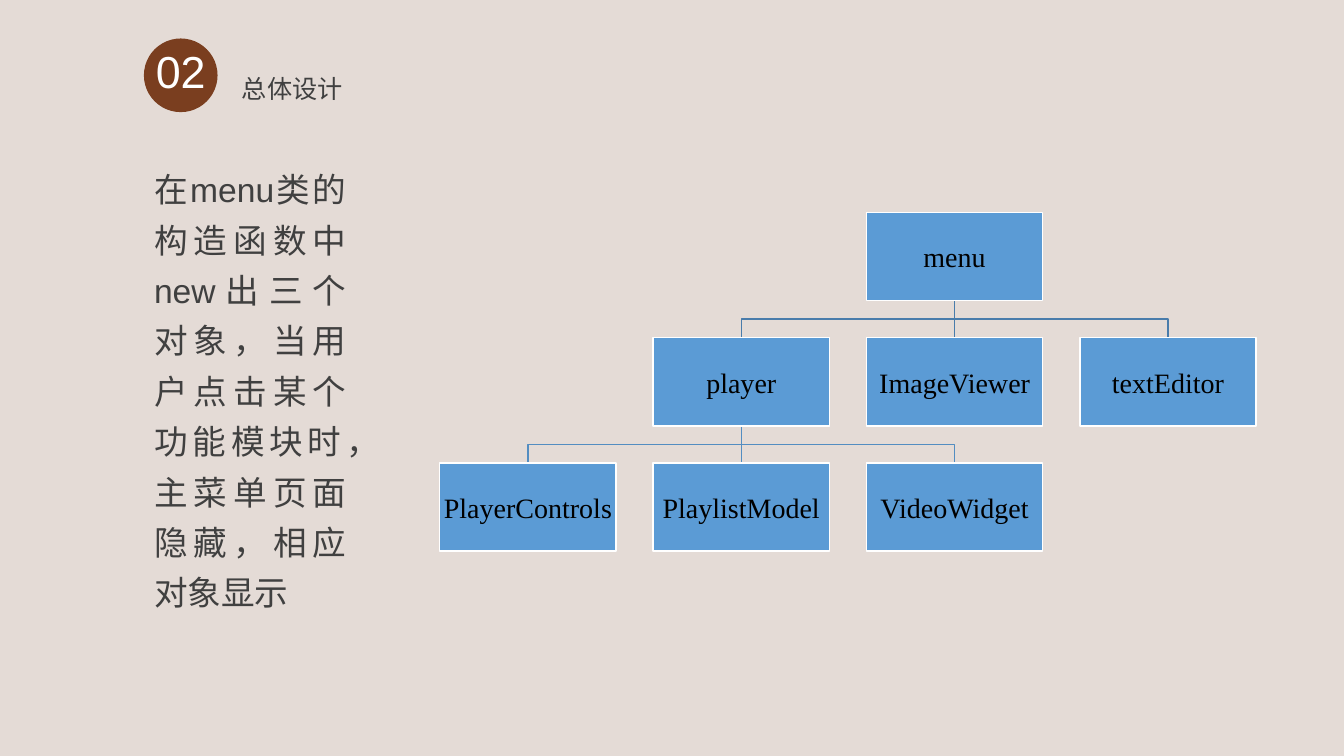
from dataclasses import dataclass

from pptx import Presentation
from pptx.dml.color import RGBColor
from pptx.enum.shapes import MSO_CONNECTOR, MSO_SHAPE
from pptx.enum.text import MSO_ANCHOR, MSO_AUTO_SIZE, PP_ALIGN
from pptx.oxml.ns import qn
from pptx.util import Pt

OVAL, RECT = MSO_SHAPE.OVAL, MSO_SHAPE.RECTANGLE
STRAIGHT = MSO_CONNECTOR.STRAIGHT
LEFT, CENTER, JUSTIFY = PP_ALIGN.LEFT, PP_ALIGN.CENTER, PP_ALIGN.JUSTIFY
TOP, MIDDLE = MSO_ANCHOR.TOP, MSO_ANCHOR.MIDDLE
NO_FIT = MSO_AUTO_SIZE.NONE

COLORS = {
    "background": "E4DBD6", "badge": "7A3E1F", "text": "404040",
    "box": "5B9BD5", "white": "FFFFFF", "black": "000000",
    "upper link": "497CAB", "lower link": "538DC1",
}

# Grid of the class tree, in points
GRID_LEFT, GRID_TOP = 314.1, 151.8
COLUMN_STEP, ROW_STEP = 152.4, 89.4
BOX_WIDTH, BOX_HEIGHT = 126, 63


@dataclass(frozen=True)
class ClassBox:
    name: str
    column: int
    row: int
    parent: str = ""

    @property
    def left(self) -> float:
        return GRID_LEFT + self.column * COLUMN_STEP

    @property
    def top(self) -> float:
        return GRID_TOP + self.row * ROW_STEP

    @property
    def center(self) -> float:
        return self.left + BOX_WIDTH / 2


CLASSES = [
    ClassBox("menu", 2, 0),
    ClassBox("player", 1, 1, "menu"),
    ClassBox("ImageViewer", 2, 1, "menu"),
    ClassBox("textEditor", 3, 1, "menu"),
    ClassBox("PlayerControls", 0, 2, "player"),
    ClassBox("PlaylistModel", 1, 2, "player"),
    ClassBox("VideoWidget", 2, 2, "player"),
]


def color(name: str) -> RGBColor:
    return RGBColor.from_string(COLORS[name])


def set_attributes(target, values: dict) -> None:
    for attribute, value in values.items():
        setattr(target, attribute, value)


def place(shape, left: float, top: float, width: float, height: float) -> None:
    set_attributes(shape, {"left": Pt(left), "top": Pt(top),
                           "width": Pt(width), "height": Pt(height)})


def write(shape, text: str, size: float, font: str, text_color: str,
          frame_format: dict, paragraph_format: dict) -> None:
    frame = shape.text_frame
    frame.text = text
    set_attributes(frame, {"auto_size": NO_FIT, **frame_format})
    paragraph = frame.paragraphs[0]
    set_attributes(paragraph, {"space_before": Pt(0), **paragraph_format})
    run_font = paragraph.runs[0].font
    set_attributes(run_font, {"size": Pt(size), "name": font})
    run_font.color.rgb = color(text_color)


def remove_bullet(paragraph) -> None:
    properties = paragraph._p.get_or_add_pPr()
    for attribute in ("marL", "indent"):
        properties.set(attribute, "0")
    properties.append(properties.makeelement(qn("a:buNone"), {}))


def add_filled(slide, kind, left: float, top: float, width: float,
               height: float, fill: str):
    shape = slide.shapes.add_shape(kind, Pt(left), Pt(top), Pt(width), Pt(height))
    shape.shadow.inherit = False
    shape.fill.solid()
    shape.fill.fore_color.rgb = color(fill)
    return shape


def add_link(slide, parent: ClassBox, child: ClassBox) -> None:
    start = parent.top + BOX_HEIGHT
    if parent.column == child.column:
        link = slide.shapes.add_connector(
            STRAIGHT, Pt(parent.center), Pt(start), Pt(child.center), Pt(child.top))
        properties = link._element.spPr
        link.line.width = Pt(1)
        properties.append(properties.makeelement(qn("a:effectLst"), {}))
    else:
        bend = (start + child.top) / 2
        outline = slide.shapes.build_freeform(Pt(parent.center), Pt(start))
        corners = [(parent.center, bend), (child.center, bend),
                   (child.center, child.top)]
        outline.add_line_segments([(Pt(x), Pt(y)) for x, y in corners], close=False)
        link = outline.convert_to_shape()
        link.shadow.inherit = False
        link.fill.background()
    link.line.color.rgb = color("lower link" if parent.row else "upper link")
    link.line.width = Pt(1)


def add_class_box(slide, item: ClassBox) -> None:
    box = add_filled(slide, RECT, item.left, item.top, BOX_WIDTH, BOX_HEIGHT, "box")
    box.line.color.rgb = color("white")
    box.line.width = Pt(1)
    margins = dict.fromkeys(
        ("margin_left", "margin_top", "margin_right", "margin_bottom"), Pt(1))
    write(box, item.name, 20, "Times New Roman", "black",
          {"word_wrap": True, "vertical_anchor": MIDDLE, **margins},
          {"alignment": CENTER})


presentation = Presentation()
set_attributes(presentation, {"slide_width": Pt(960), "slide_height": Pt(540)})
slide = presentation.slides.add_slide(presentation.slide_layouts[1])
slide.background.fill.solid()
slide.background.fill.fore_color.rgb = color("background")

# Section number and title
badge = add_filled(slide, OVAL, 102.8, 27.5, 52.6, 52.6, "badge")
badge.line.fill.background()
write(badge, "02", 32, "Arial", "white",
      {"word_wrap": False, "vertical_anchor": MIDDLE, "margin_top": Pt(0),
       "margin_bottom": Pt(6.5)}, {"alignment": CENTER})

title = slide.shapes.title
place(title, 165.6, 27.4, 87.1, 43.9)
write(title, "总体设计", 18, "Arial", "text",
      {"word_wrap": False, "vertical_anchor": TOP},
      {"alignment": LEFT, "line_spacing": 2.0})

# Description
description = slide.placeholders[1]
place(description, 102.8, 110, 151.9, 331.2)
write(description,
      "在menu类的构造函数中new出三个对象，当用户点击某个功能模块时，"
      "主菜单页面隐藏，相应对象显示",
      24, "Arial", "text", {"word_wrap": True, "vertical_anchor": TOP},
      {"alignment": JUSTIFY, "line_spacing": 1.25})
remove_bullet(description.text_frame.paragraphs[0])

# Class tree: links behind boxes
by_name = {item.name: item for item in CLASSES}
for item in CLASSES:
    if item.parent:
        add_link(slide, by_name[item.parent], item)
for item in CLASSES:
    add_class_box(slide, item)

presentation.save("out.pptx")
